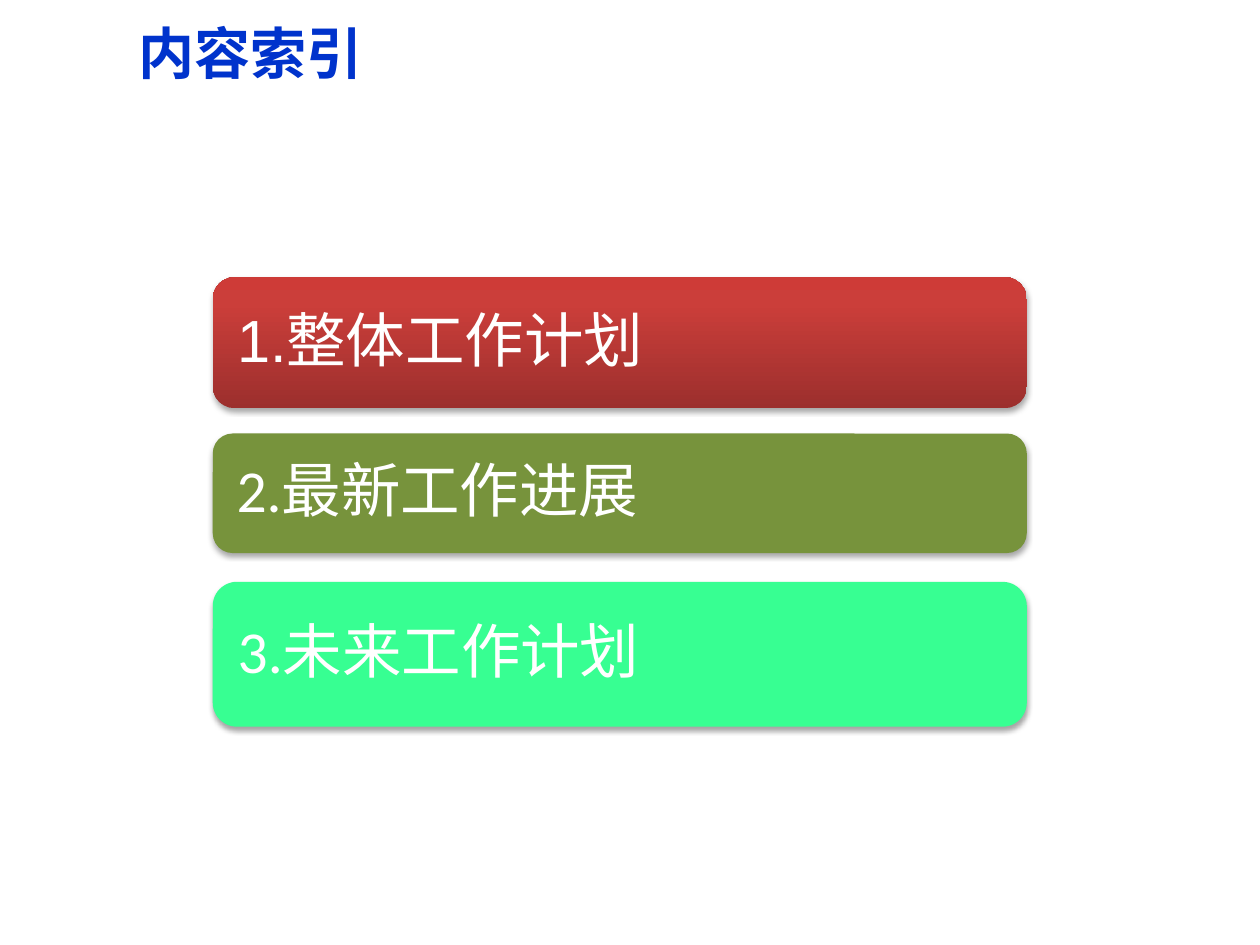
from dataclasses import dataclass

from lxml import etree
from pptx import Presentation
from pptx.dml.color import RGBColor
from pptx.enum.shapes import MSO_SHAPE
from pptx.enum.text import MSO_ANCHOR
from pptx.oxml.ns import qn
from pptx.util import Cm, Pt

ROUNDED = MSO_SHAPE.ROUNDED_RECTANGLE
MIDDLE = MSO_ANCHOR.MIDDLE
CORNER_INSET = 0.0488


@dataclass(frozen=True)
class Theme:
    title_color: str = "0033CC"
    text_color: str = "FFFFFF"
    red_stops: tuple = ((0, "9C2F2D"), (80, "CB3E3A"), (100, "CE3B37"))
    olive: str = "77933C"
    mint: str = "37FF92"
    shadow: str = "000000"
    title_size: float = 32
    item_size: float = 34
    cjk_font: str = "Noto Sans CJK SC"
    latin_font: str = "Calibri"
    first_font: str = "Arial"


THEME = Theme()

CARDS = (
    (5.59, 2.64, THEME.red_stops, (("1.整体工作计划", THEME.first_font),)),
    (8.74, 2.41, THEME.olive, (("2.最新工作进展", THEME.latin_font),)),
    (11.73, 2.92, THEME.mint,
     (("3.未来工作", THEME.latin_font), ("计划", THEME.cjk_font))),
)


def apply_format(target, values):
    for name, value in values.items():
        setattr(target, name, value)


def add_color(parent, color):
    return etree.SubElement(parent, qn("a:srgbClr"), val=color)


def add_text(page, place, spans, size, color, bold=False, margin=None, spacing=None):
    box = page.shapes.add_textbox(*(Cm(value) for value in place))
    frame = box.text_frame
    apply_format(frame, {"word_wrap": True, "vertical_anchor": MIDDLE})
    if margin is not None:
        sides = ("left", "top", "right", "bottom")
        apply_format(frame, {f"margin_{side}": Cm(margin) for side in sides})
    para = frame.paragraphs[0]
    apply_format(para, spacing or {})
    for text, font_name in spans:
        span = para.add_run()
        span.text = text
        apply_format(span.font, {"size": Pt(size), "bold": bold, "name": font_name})
        span.font.color.rgb = RGBColor.from_string(color)
        etree.SubElement(span.font._element, qn("a:ea"), typeface=THEME.cjk_font)


def fill_gradient(shape, stops):
    shape.fill.gradient()
    shape.fill.gradient_angle = 90
    stop_list = shape._element.spPr.find(f".//{qn('a:gsLst')}")
    for old_stop in list(stop_list):
        stop_list.remove(old_stop)
    for percent, color in stops:
        stop = etree.SubElement(stop_list, qn("a:gs"), pos=str(percent * 1000))
        add_color(stop, color)


def add_shadow(shape):
    shape.shadow.inherit = False
    effects = shape._element.spPr.find(qn("a:effectLst"))
    shadow = etree.SubElement(
        effects, qn("a:outerShdw"), blurRad="40000", dist="23000",
        dir="5400000", rotWithShape="0")
    color = add_color(shadow, THEME.shadow)
    etree.SubElement(color, qn("a:alpha"), val="35000")


def add_card(page, top, height, fill, spans, left=4.29, width=16.41):
    place = (left, top, width, height)
    card = page.shapes.add_shape(ROUNDED, *(Cm(value) for value in place))
    card.line.fill.background()
    if isinstance(fill, str):
        card.fill.solid()
        card.fill.fore_color.rgb = RGBColor.from_string(fill)
    else:
        fill_gradient(card, fill)
    add_shadow(card)
    inset = height * CORNER_INSET
    text_place = (left + inset, top + inset, width - 2 * inset, height - 2 * inset)
    add_text(page, text_place, spans, THEME.item_size, THEME.text_color, margin=0.36,
             spacing={"line_spacing": 0.9, "space_after": Pt(12)})


def main():
    deck = Presentation()
    apply_format(deck, {"slide_width": Cm(25.4), "slide_height": Cm(19.05)})
    page = deck.slides.add_slide(deck.slide_layouts[6])
    add_text(page, (2.54, -0.05, 22.86, 2.21), (("内容索引", THEME.cjk_font),),
             THEME.title_size, THEME.title_color, bold=True)
    for card in CARDS:
        add_card(page, *card)
    deck.save("out.pptx")


if __name__ == "__main__":
    main()
